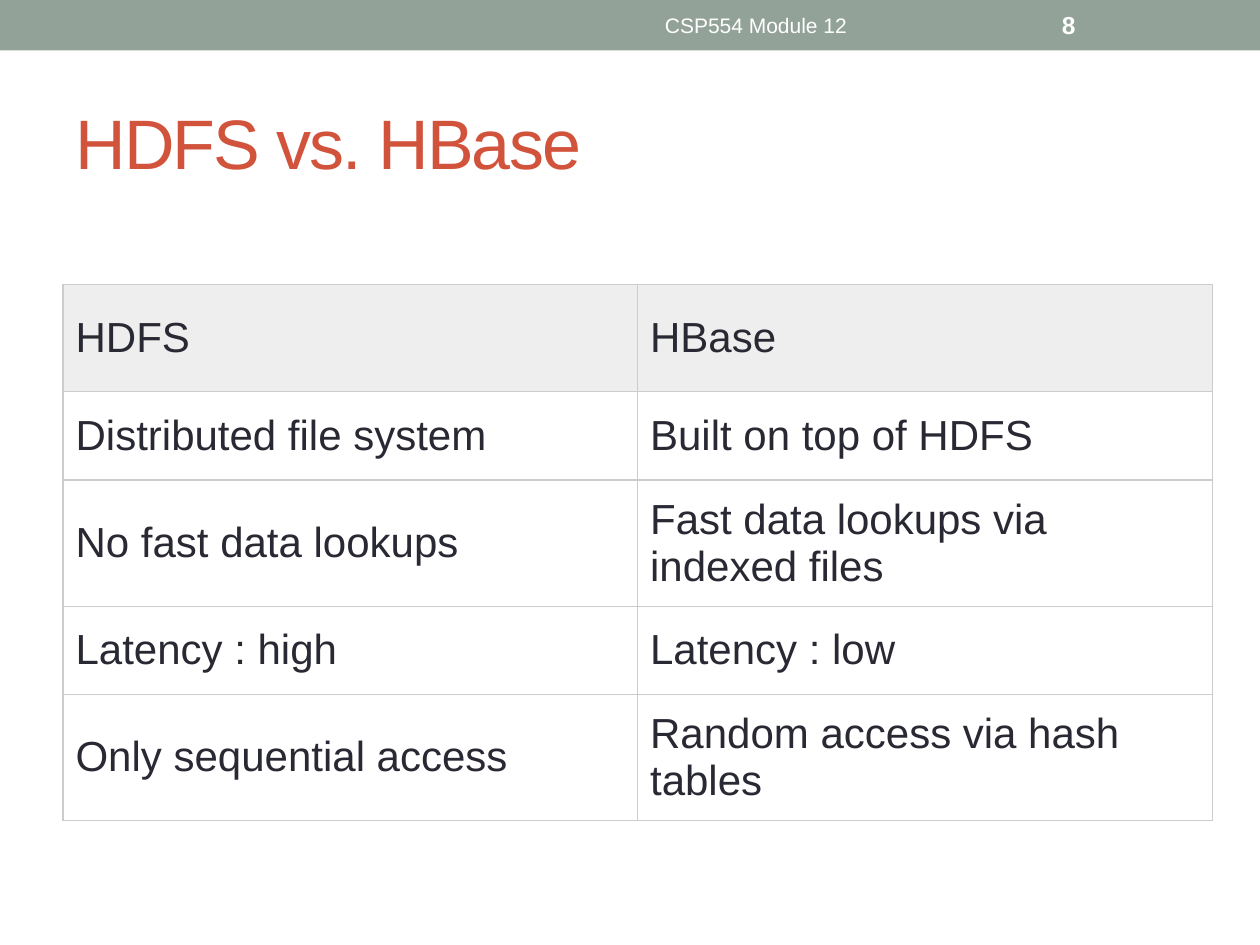
from pptx import Presentation
from pptx.dml.color import RGBColor
from pptx.enum.shapes import MSO_SHAPE as Shape
from pptx.enum.text import MSO_ANCHOR as Anchor, PP_ALIGN as Align
from pptx.oxml import parse_xml
from pptx.oxml.ns import nsdecls
from pptx.util import Inches, Pt

THEME = {
    "font": "Arial",
    "band": "93A299", "title": "D2533C", "text": "292934", "white": "FFFFFF",
    "header": "EEEEEE", "border": "CCCCCC",
    "title_size": 40, "table_size": 24, "footer_size": 12, "number_size": 14,
}
BORDER_WIDTH = Pt(0.75)


def write(frame, text, size, color, bold=False, align=Align.LEFT):
    paragraph = frame.paragraphs[0]
    paragraph.alignment = align
    run = paragraph.add_run()
    run.text = text
    formats = {"name": THEME["font"], "size": Pt(size), "bold": bold}
    for name, value in formats.items():
        setattr(run.font, name, value)
    run.font.color.rgb = RGBColor.from_string(color)
    return run


presentation = Presentation()
presentation.slide_width, presentation.slide_height = Inches(10), Inches(7.5)
slide = presentation.slides.add_slide(presentation.slide_layouts[6])

# Top band
band = slide.shapes.add_shape(Shape.RECTANGLE, 0, 0, presentation.slide_width, Inches(0.4))
band.shadow.inherit = False
band.fill.solid()
band.fill.fore_color.rgb = RGBColor.from_string(THEME["band"])
band.line.fill.background()

# Title, footer and slide number
texts = [
    ("HDFS vs. HBase", (0.5, 0.58, 9, 1.08), "title_size", "title", False, Align.LEFT),
    ("CSP554 Module 12", (3.75, 0.02, 4.5, 0.36), "footer_size", "white", False, Align.CENTER),
    ("8", (8.33, 0.02, 1.17, 0.36), "number_size", "white", True, Align.LEFT),
]
for text, place, size, color, bold, align in texts:
    box = slide.shapes.add_textbox(*map(Inches, place))
    box.text_frame.word_wrap = True
    box.text_frame.vertical_anchor = Anchor.MIDDLE
    run = write(box.text_frame, text, THEME[size], THEME[color], bold, align)
    if size == "title_size":
        run.font._element.set("spc", "-100")

# Comparison table: two equal columns, taller rows where text wraps
rows = [
    (0.85, "HDFS", "HBase"),
    (0.7, "Distributed file system", "Built on top of HDFS"),
    (0.95, "No fast data lookups", "Fast data lookups via indexed files"),
    (0.7, "Latency : high", "Latency : low"),
    (0.95, "Only sequential access", "Random access via hash tables"),
]
column_width = 4.56
table = slide.shapes.add_table(
    len(rows), 2, Inches(0.5), Inches(2.26),
    Inches(2 * column_width), Inches(sum(row[0] for row in rows)),
).table
for column in table.columns:
    column.width = Inches(column_width)

for row_index, (height, *labels) in enumerate(rows):
    table.rows[row_index].height = Inches(height)
    is_header = row_index == 0
    padding = Inches(0.16 if is_header else 0.1)
    for column_index, label in enumerate(labels):
        cell = table.cell(row_index, column_index)
        formats = {
            "vertical_anchor": Anchor.MIDDLE,
            "margin_left": Inches(0.1), "margin_right": Inches(0.1),
            "margin_top": padding, "margin_bottom": padding,
        }
        for name, value in formats.items():
            setattr(cell, name, value)
        write(cell.text_frame, label, THEME["table_size"], THEME["text"])
        cell.fill.solid()
        cell.fill.fore_color.rgb = RGBColor.from_string(THEME["header" if is_header else "white"])
        # Borders go before the fill in the cell properties
        for position, side in enumerate(("lnL", "lnR", "lnT", "lnB")):
            cell._tc.get_or_add_tcPr().insert(position, parse_xml(
                f'<a:{side} {nsdecls("a")} w="{BORDER_WIDTH}"><a:solidFill>'
                f'<a:srgbClr val="{THEME["border"]}"/></a:solidFill></a:{side}>'))

presentation.save("out.pptx")
